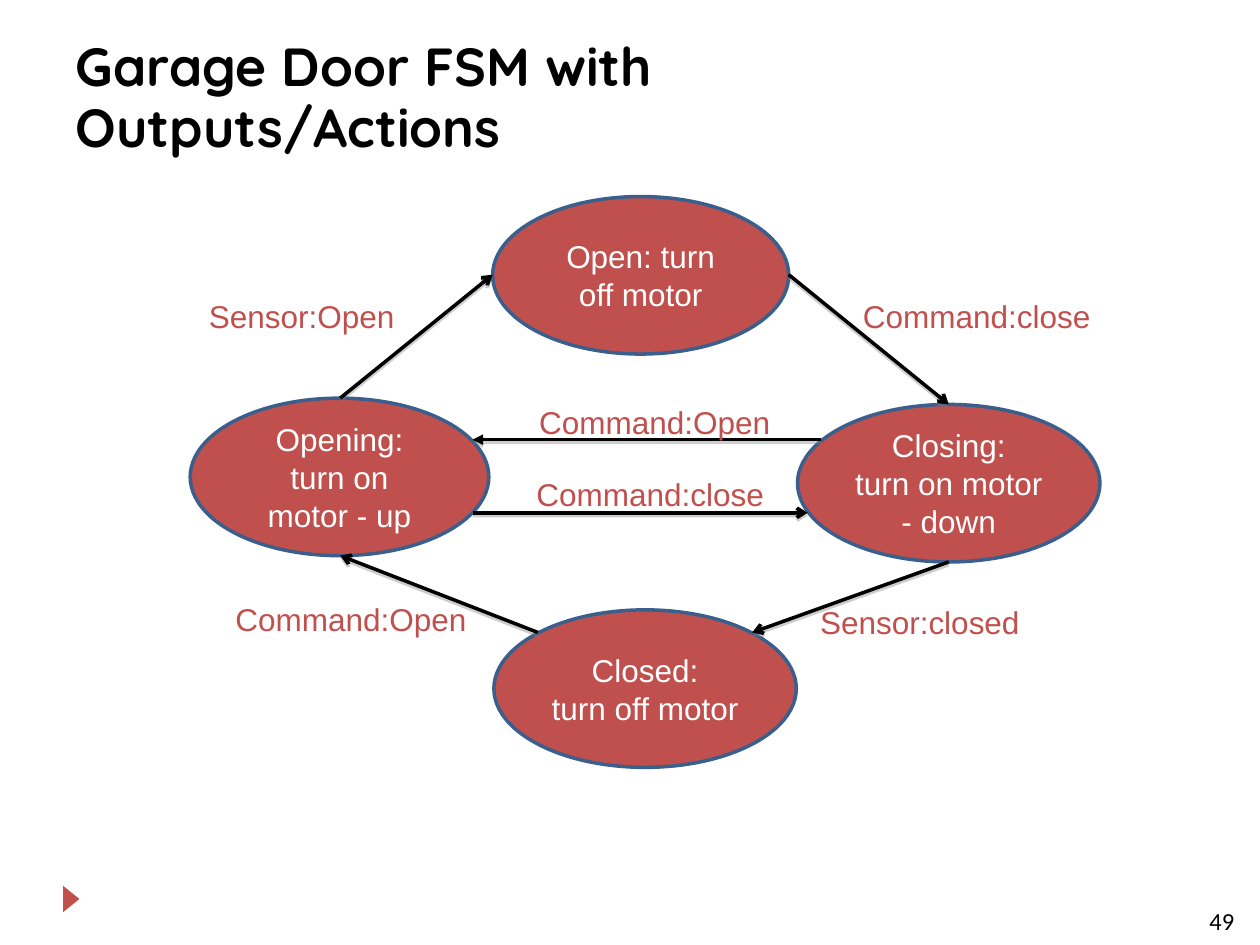
from lxml.etree import SubElement as Sub
from pptx import Presentation
from pptx.dml.color import RGBColor
from pptx.enum.shapes import MSO_CONNECTOR as Link, MSO_SHAPE as Shape
from pptx.enum.text import MSO_ANCHOR as Anchor, MSO_AUTO_SIZE as Fit, PP_ALIGN as Align
from pptx.oxml.ns import qn
from pptx.util import Inches, Pt

RED = RGBColor(0xC0, 0x50, 0x4D)
BLUE = RGBColor(0x3A, 0x5F, 0x8C)
BLACK = RGBColor(0, 0, 0)
WHITE = RGBColor(255, 255, 255)

# left, top, width, lines of text
STATES = [
    (1.51, 3.16, 2.37, ["Opening: turn on motor - up"]),
    (3.91, 1.56, 2.35, ["Open: turn off motor"]),
    (3.92, 4.84, 2.4, ["Closed:", "turn off motor"]),
    (6.33, 3.21, 2.4, ["Closing:", "turn on motor - down"]),
]
# start, end, arrowhead
ARROWS = [
    ((6.26, 2.18), (7.53, 3.21), "arrow"),
    ((7.53, 4.46), (5.97, 5.02), "arrow"),
    ((4.27, 5.02), (2.7, 4.41), "arrow"),
    ((2.7, 3.16), (3.91, 2.18), "arrow"),
    ((3.75, 4.07), (6.41, 4.07), "arrow"),
    ((6.52, 3.49), (3.75, 3.49), "triangle"),
]
# left, top, width, text, alignment
LABELS = [
    (4.18, 3.15, 2.42, "Command:Open", Align.LEFT),
    (3.95, 3.72, 2.42, "Command:close", Align.CENTER),
    (1.56, 2.31, 2, "Sensor:Open", Align.LEFT),
    (6.41, 4.74, 2.42, "Sensor:closed", Align.LEFT),
    (1.77, 4.71, 2.42, "Command:Open", Align.LEFT),
    (6.75, 2.31, 2.42, "Command:close", Align.LEFT),
]


def write(frame, lines, size, color, face="Arial", align=Align.LEFT, bold=False):
    """Fill one paragraph, with a line break between the lines."""
    frame.word_wrap = True
    para = frame.paragraphs[0]
    para.alignment = align
    for i, line in enumerate(lines):
        if i:
            para.add_line_break()
        run = para.add_run()
        run.text = line
        font = run.font
        font.size, font.name, font.bold = Pt(size), face, bold
        font.color.rgb = color
    return para


def add_title(slide, lines):
    title = slide.shapes.title
    title.left, title.top = Inches(0.5), Inches(0.25)
    title.width, title.height = Inches(9), Inches(1)
    frame = title.text_frame
    frame.auto_size = Fit.NONE
    frame.vertical_anchor = Anchor.TOP
    para = write(frame, lines, 30.6, BLACK, "Quicksand", bold=True)
    para.line_spacing = 0.95


def add_solid(slide, kind, left, top, width, height):
    shape = slide.shapes.add_shape(
        kind, Inches(left), Inches(top), Inches(width), Inches(height))
    shape.shadow.inherit = False
    shape.fill.solid()
    shape.fill.fore_color.rgb = RED
    return shape


def add_state(slide, left, top, width, lines):
    oval = add_solid(slide, Shape.OVAL, left, top, width, 1.25)
    oval.line.color.rgb = BLUE
    oval.line.width = Pt(2)
    oval.text_frame.vertical_anchor = Anchor.MIDDLE
    write(oval.text_frame, lines, 18, WHITE, align=Align.CENTER)


def add_mark(slide):
    mark = add_solid(slide, Shape.ISOSCELES_TRIANGLE, 0.46, 7.07, 0.21, 0.13)
    mark.rotation = 90
    mark.line.fill.background()


def add_arrow(slide, start, end, head):
    """Draw a line with a head at its end and a soft shadow below it."""
    points = [Inches(n) for n in start + end]
    arrow = slide.shapes.add_connector(Link.STRAIGHT, *points)
    arrow.line.color.rgb = BLACK
    arrow.line.width = Pt(2)
    Sub(arrow.line._get_or_add_ln(), qn("a:tailEnd"), type=head)
    effects = Sub(arrow._element.spPr, qn("a:effectLst"))
    shade = Sub(effects, qn("a:outerShdw"), blurRad="0", dist=str(Pt(1.6)),
                dir="5400000", rotWithShape="0")
    color = Sub(shade, qn("a:srgbClr"), val="808080")
    Sub(color, qn("a:alpha"), val="38000")


def add_text(slide, left, top, width, height):
    box = slide.shapes.add_textbox(
        Inches(left), Inches(top), Inches(width), Inches(height))
    return box.text_frame


def add_label(slide, left, top, width, text, align):
    frame = add_text(slide, left, top, width, 0.4)
    frame.auto_size = Fit.SHAPE_TO_FIT_TEXT
    write(frame, [text], 18, RED, align=align)


def main():
    deck = Presentation()
    deck.slide_width, deck.slide_height = Inches(10), Inches(7.5)
    slide = deck.slides.add_slide(deck.slide_layouts[5])
    add_mark(slide)
    add_title(slide, ["Garage Door FSM with", "Outputs/Actions"])
    write(add_text(slide, 9.5, 7.14, 0.45, 0.25), ["49"], 14, BLACK, "Calibri")
    for state in STATES:
        add_state(slide, *state)
    for arrow in ARROWS:
        add_arrow(slide, *arrow)
    for label in LABELS:
        add_label(slide, *label)
    deck.save("out.pptx")


if __name__ == "__main__":
    main()
